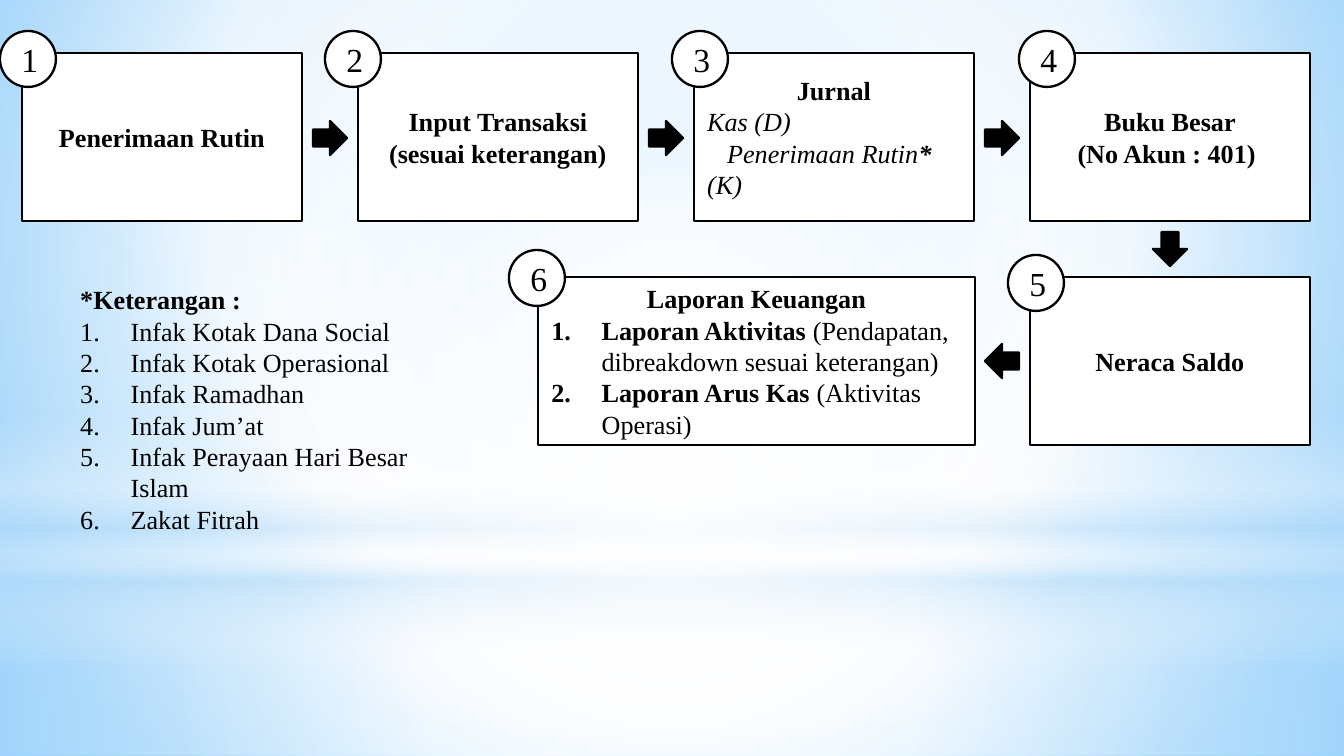
from dataclasses import dataclass

from lxml.etree import SubElement
from pptx import Presentation
from pptx.dml.color import RGBColor
from pptx.enum.shapes import MSO_SHAPE
from pptx.enum.text import MSO_ANCHOR, MSO_AUTO_SIZE, PP_ALIGN
from pptx.oxml.ns import qn
from pptx.util import Pt

PX = 914400 / 134.4


@dataclass(frozen=True)
class Theme:
    """Colours, font and type sizes of the slide."""
    ink: str = "000000"
    paper: str = "FFFFFF"
    mist: str = "B4DCFA"
    sky: str = "9ED5FF"
    deep: str = "5BB9FF"
    font: str = "Times New Roman"
    body: int = 14
    badge: int = 18
    line: float = 1.25


T = Theme()


def add_box(kind, x, y, w, h, fill=T.paper):
    """Add an outlined preset shape placed in pixels."""
    s = slide.shapes.add_shape(kind, *(round(v * PX) for v in (x, y, w, h)))
    s.shadow.inherit = False
    s.fill.solid()
    s.fill.fore_color.rgb = RGBColor.from_string(fill)
    s.line.color.rgb = RGBColor.from_string(T.ink)
    s.line.width = Pt(T.line)
    s.text_frame.vertical_anchor = MSO_ANCHOR.MIDDLE
    return s


def write(tf, text, size=T.body, bold=False, italic=False, align=PP_ALIGN.LEFT,
          numbered=False, indent=0, join=False):
    """Write text as a new paragraph, or join it to the last one."""
    p = tf.paragraphs[-1]
    if not join:
        if p.runs:
            p = tf.add_paragraph()
        p.alignment = align
        pPr = p._p.get_or_add_pPr()
        hang = round(50.4 * PX) if numbered else 0
        pPr.set("marL", str(hang))
        pPr.set("indent", str(round(indent * PX) - hang))
        if numbered:
            SubElement(pPr, qn("a:buFont"), typeface="+mj-lt")
            SubElement(pPr, qn("a:buAutoNum"), type="arabicPeriod")
    r = p.add_run()
    r.text = text
    r.font.name = T.font
    r.font.size = Pt(size)
    r.font.bold = bold
    r.font.italic = italic
    r.font.color.rgb = RGBColor.from_string(T.ink)


prs = Presentation()
prs.slide_width, prs.slide_height = round(1344 * PX), round(756 * PX)
slide = prs.slides.add_slide(prs.slide_layouts[6])

# Background: a gradient with four translucent veils over it
CENTRE = (50, 50, 50, 50)
RECT, OVAL = MSO_SHAPE.RECTANGLE, MSO_SHAPE.OVAL
layers = [
    (None, None, (20, 10, 20, 60),
     [(0, T.sky, 100), (60, T.paper, 100), (100, T.deep, 100)]),
    (RECT, (563, 193), CENTRE,
     [(0, T.paper, 91), (37, T.paper, 76), (100, T.mist, 79)]),
    (RECT, (0, 563), CENTRE,
     [(0, T.paper, 89), (48, T.paper, 62), (100, T.mist, 79)]),
    (RECT, (415, 252), None,
     [(0, T.paper, 0), (29, T.paper, 30), (45, T.mist, 40),
      (55, T.paper, 26), (65, T.mist, 60), (100, T.paper, 0)]),
    (OVAL, (176, 563), CENTRE, [(0, T.paper, 100), (56, T.paper, 0)]),
]
for kind, span, focus, stops in layers:
    if kind is None:
        slide.background.fill.solid()
        props = slide._element.cSld.bg.bgPr
    else:
        s = add_box(kind, 0, span[0], 1344, span[1])
        s.line.fill.background()
        props = s._element.spPr
    solid = props.find(qn("a:solidFill"))
    grad = SubElement(props, qn("a:gradFill"), rotWithShape="1")
    props.replace(solid, grad)
    gs_list = SubElement(grad, qn("a:gsLst"))
    for pos, color, alpha in stops:
        gs = SubElement(gs_list, qn("a:gs"), pos=str(pos * 1000))
        clr = SubElement(gs, qn("a:srgbClr"), val=color)
        if alpha < 100:
            SubElement(clr, qn("a:alpha"), val=str(alpha * 1000))
    if focus:
        path = SubElement(grad, qn("a:path"), path="circle")
        SubElement(path, qn("a:fillToRect"),
                   {side: str(v * 1000) for side, v in zip("ltrb", focus)})
    else:
        SubElement(grad, qn("a:lin"), ang="5400000", scaled="0")

# Steps: four across the top, then back to the left below
LEFT, PITCH, STEP_W, STEP_H = 22, 336, 280, 168
TOP, LOWER = 53, 277
columns = [LEFT + i * PITCH for i in range(4)]
steps = [
    (columns[0], TOP, STEP_W, ["Penerimaan Rutin"]),
    (columns[1], TOP, STEP_W, ["Input Transaksi (sesuai keterangan)"]),
    (columns[2], TOP, STEP_W, ["Jurnal"]),
    (columns[3], TOP, STEP_W, ["Buku Besar", "(No Akun : 401) "]),
    (columns[3], LOWER, STEP_W, ["Neraca Saldo"]),
    (538, LOWER, 437, ["Laporan Keuangan"]),
]
frames = []
for x, y, w, titles in steps:
    tf = add_box(RECT, x, y, w, STEP_H).text_frame
    for title in titles:
        write(tf, title, bold=True, align=PP_ALIGN.CENTER)
    frames.append(tf)

journal, report = frames[2], frames[5]
write(journal, "Kas (D)", italic=True)
write(journal, "Penerimaan Rutin", italic=True, indent=20)
write(journal, "* ", bold=True, italic=True, join=True)
write(journal, "(K)", italic=True, join=True)
for name, detail in [
    ("Laporan Aktivitas ", "(Pendapatan, dibreakdown sesuai keterangan)"),
    ("Laporan Arus Kas ", "(Aktivitas Operasi)"),
]:
    write(report, name, bold=True, numbered=True)
    write(report, detail, join=True)

# Notes on the kinds of receipt
notes = slide.shapes.add_textbox(*(round(v * PX) for v in (67, 277, 370, 267)))
tf = notes.text_frame
tf.word_wrap = True
tf.auto_size = MSO_AUTO_SIZE.SHAPE_TO_FIT_TEXT
write(tf, "*Keterangan :", bold=True)
for item in ["Infak Kotak Dana Social", "Infak Kotak Operasional",
             "Infak Ramadhan", "Infak Jum’at",
             "Infak Perayaan Hari Besar Islam", "Zakat Fitrah "]:
    write(tf, item, numbered=True)

# Arrows between the steps
ARROW = 34
arrows = [(x + STEP_W + 11, 121, 0) for x in columns[:3]]
arrows += [(1153, 232, 90), (985, 344, 180)]
for x, y, angle in arrows:
    s = add_box(MSO_SHAPE.RIGHT_ARROW, x, y, ARROW, ARROW, fill=T.ink)
    s.rotation = angle

# Numbered badges
BADGE = 56
badges = [(0, 31), (325, 31), (672, 31), (1019, 31), (1008, 255), (509, 250)]
for number, (x, y) in enumerate(badges, 1):
    s = add_box(OVAL, x, y, BADGE, BADGE)
    write(s.text_frame, str(number), size=T.badge, align=PP_ALIGN.CENTER)

prs.save("out.pptx")
